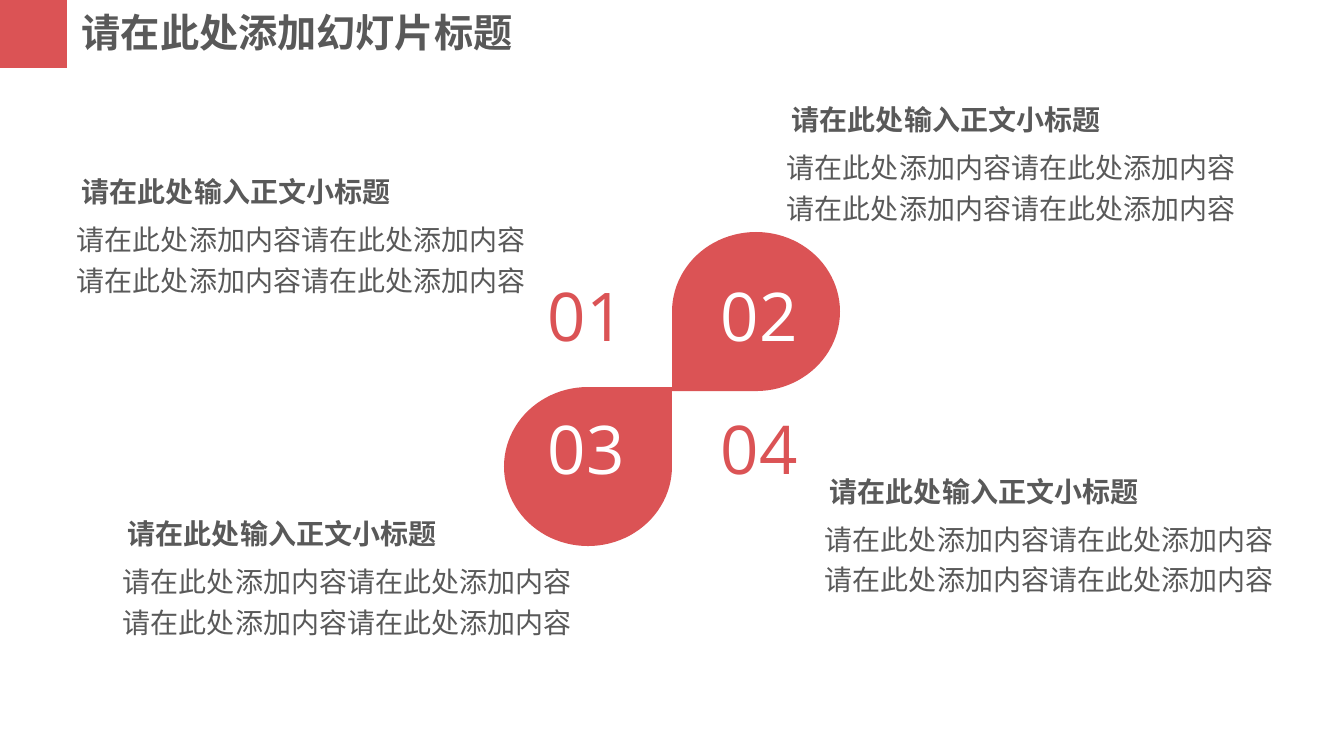
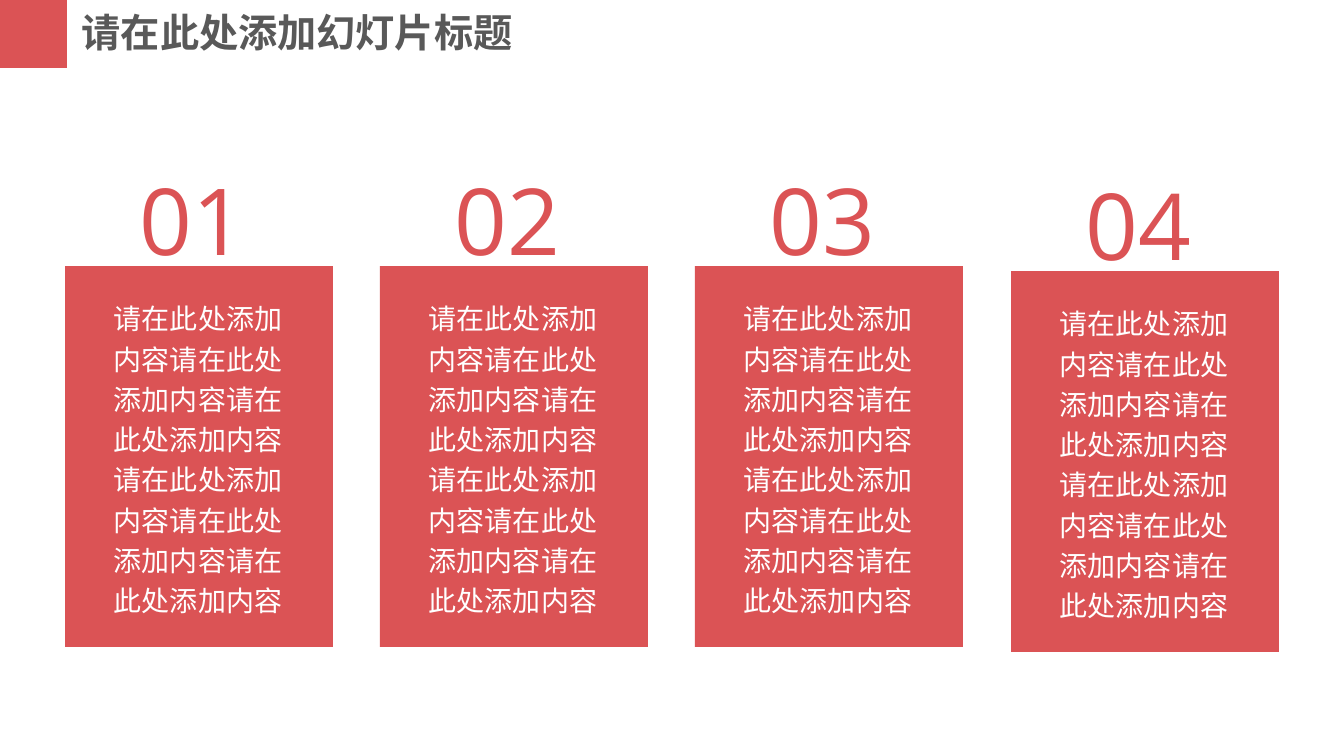
from lxml.etree import SubElement
from pptx import Presentation
from pptx.dml.color import RGBColor
from pptx.enum.shapes import MSO_SHAPE as Preset
from pptx.enum.text import MSO_AUTO_SIZE as AutoSize
from pptx.oxml.ns import qn
from pptx.util import Emu, Pt

RED = RGBColor(0xDB, 0x53, 0x55)
GREY = RGBColor(0x59, 0x59, 0x59)
WHITE = RGBColor(0xFF, 0xFF, 0xFF)
CJK = "Noto Sans CJK SC"
LATIN = "Open Sans"
SCALE = 914400 / 100.8
PHRASE = "请在此处添加内容"


def add_figure(shapes, preset, *frame):
    figure = shapes.add_shape(preset, *[Emu(round(n * SCALE)) for n in frame])
    figure.shadow.inherit = False
    figure.fill.solid()
    figure.fill.fore_color.rgb = RED
    figure.line.fill.background()
    return figure


def add_text(shapes, text, frame, size, color, font=CJK, bold=False, spacing=None):
    box = shapes.add_textbox(*[Emu(round(n * SCALE)) for n in frame])
    box.text_frame.word_wrap = True
    box.text_frame.auto_size = AutoSize.SHAPE_TO_FIT_TEXT
    para = box.text_frame.paragraphs[0]
    para.line_spacing = spacing
    span = para.add_run()
    span.text = text
    span.font.size = Pt(size)
    span.font.bold = bold
    span.font.color.rgb = color
    span.font.name = font
    SubElement(span.font._element, qn("a:ea"), typeface=font)


deck = Presentation()
deck.slide_width = Emu(round(1344 * SCALE))
deck.slide_height = Emu(round(756 * SCALE))

pages = [deck.slides.add_slide(deck.slide_layouts[6]) for _ in range(2)]
for page in pages:
    add_figure(page.shapes, Preset.RECTANGLE, 0, 0, 67, 68)
    add_text(page.shapes, "请在此处添加幻灯片标题", (72, 3, 494, 57), 28, GREY, bold=True)
petal_page, card_page = pages

shapes = petal_page.shapes
upper_petal = add_figure(shapes, Preset.TEAR, 672, 232, 168, 159)
upper_petal.rotation = 180
add_figure(shapes, Preset.TEAR, 504, 387, 168, 159)

for index, color in enumerate((RED, WHITE, WHITE, RED)):
    row, column = divmod(index, 2)
    frame = (538 + 173 * column, 269 + 133 * row, 134, 92)
    add_text(shapes, f"{index + 1:02}", frame, 48, color, LATIN)

for left, top in ((72, 163), (782, 91), (118, 505), (820, 463)):
    add_text(shapes, "请在此处输入正文小标题", (left, top, 481, 47), 20, GREY,
             bold=True, spacing=1.2)
    add_text(shapes, PHRASE * 4, (left - 5, top + 48, 481, 88), 20, GREY, spacing=1.2)

for index, top in enumerate((266, 266, 266, 271)):
    left = 65 + index * 946 // 3
    card = card_page.shapes.add_group_shape().shapes
    add_text(card, f"{index + 1:02}", (left + 65, top - 108, 160, 122), 66, RED, LATIN)
    add_figure(card, Preset.RECTANGLE, left, top, 268, 381)
    add_text(card, PHRASE * 6, (left + 39, top + 24, 190, 333), 20, WHITE, spacing=1.2)

deck.save("out.pptx")
